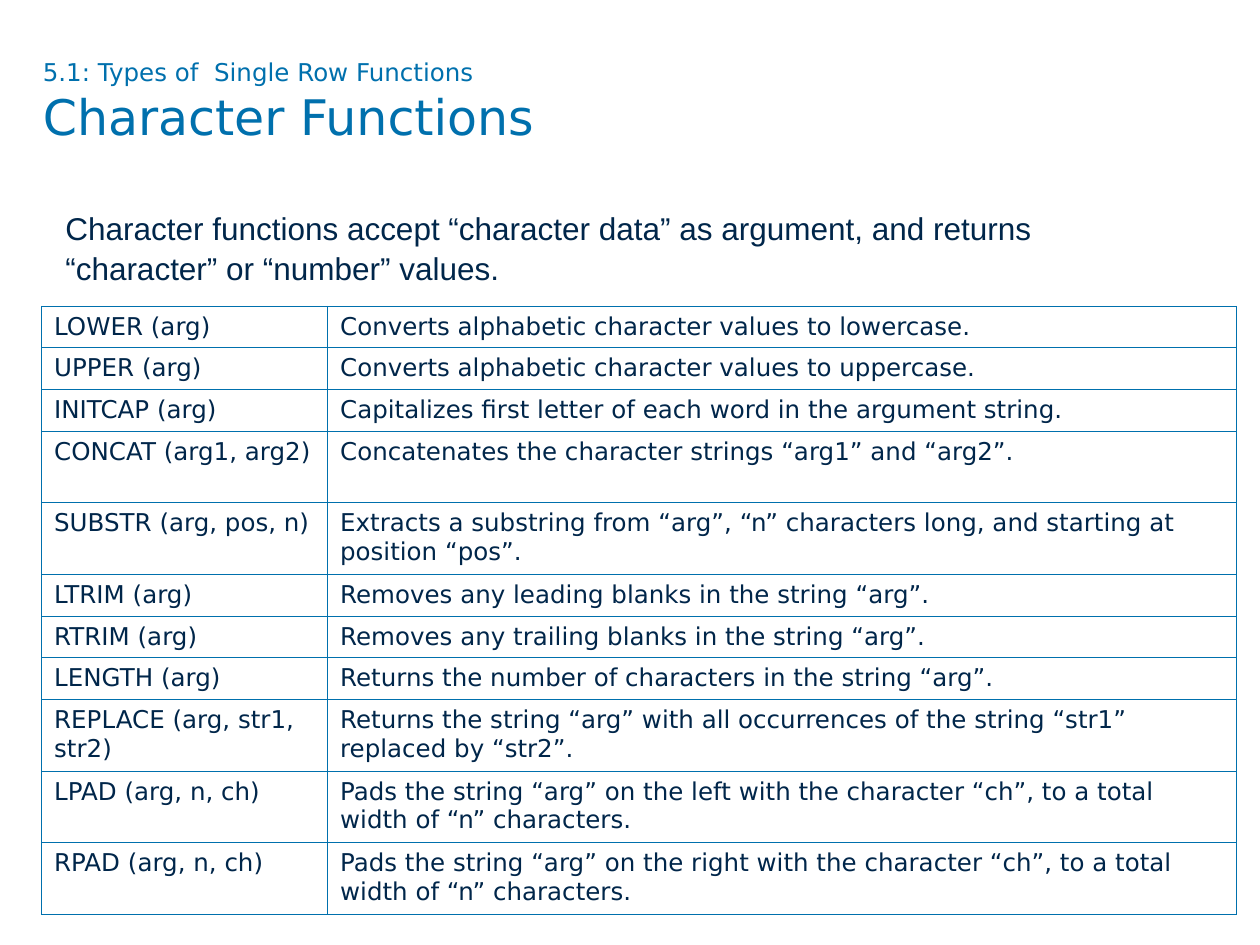
"""Build the slide on SQL character functions."""
from typing import NamedTuple

from lxml import etree
from pptx import Presentation
from pptx.dml.color import RGBColor
from pptx.enum.text import MSO_ANCHOR, MSO_AUTO_SIZE, PP_ALIGN
from pptx.oxml.ns import qn
from pptx.util import Inches, Pt

TOP, LEFT = MSO_ANCHOR.TOP, PP_ALIGN.LEFT
FIXED = MSO_AUTO_SIZE.NONE
WIDTH, HEIGHT = 10, 7.5
BLUE, NAVY = "0070AD", "00264A"
HEADING_FONT, BODY_FONT = "DejaVu Sans", "Arial"
COLUMN_WIDTHS = (2.27, 7.21)
ROW_HEIGHTS = {1: 0.33, 2: 0.57}
BORDER_POINTS = 0.45


class Area(NamedTuple):
    left: float
    top: float
    width: float
    height: float


class SqlFunction(NamedTuple):
    call: str
    purpose: str
    lines: int = 1


TITLE_AREA = Area(0.034, 0.06, 0.933, 0.125)
INTRO_AREA = Area(0.042, 0.213, 0.912, 0.133)
TABLE_AREA = Area(0.033, 0.324, 0.948, 0.645)

FUNCTIONS = [
    SqlFunction("LOWER (arg)", "Converts alphabetic character values to lowercase."),
    SqlFunction("UPPER (arg)", "Converts alphabetic character values to uppercase."),
    SqlFunction("INITCAP (arg)", "Capitalizes first letter of each word in the argument string."),
    SqlFunction("CONCAT (arg1, arg2)", "Concatenates the character strings “arg1” and “arg2”.", 2),
    SqlFunction("SUBSTR (arg, pos, n)",
                "Extracts a substring from “arg”, “n” characters long, "
                "and starting at position “pos”.", 2),
    SqlFunction("LTRIM (arg)", "Removes any leading blanks in the string “arg”."),
    SqlFunction("RTRIM (arg)", "Removes any trailing blanks in the string “arg”."),
    SqlFunction("LENGTH (arg)", "Returns the number of characters in the string “arg”."),
    SqlFunction("REPLACE (arg, str1, str2)",
                "Returns the string “arg” with all occurrences of the string “str1” "
                "replaced by “str2”.", 2),
    SqlFunction("LPAD (arg, n, ch)",
                "Pads the string “arg” on the left with the character “ch”, "
                "to a total width of “n” characters.", 2),
    SqlFunction("RPAD (arg, n, ch)",
                "Pads the string “arg” on the right with the character “ch”, "
                "to a total width of “n” characters.", 2),
]


def place(area: Area) -> tuple:
    return (Inches(area.left * WIDTH), Inches(area.top * HEIGHT),
            Inches(area.width * WIDTH), Inches(area.height * HEIGHT))


def color(value: str) -> RGBColor:
    return RGBColor.from_string(value)


def write(paragraph, text: str, *, size: float, font: str = HEADING_FONT,
          ink: str = NAVY, spacing: float = 1.0) -> None:
    paragraph.alignment = LEFT
    paragraph.line_spacing = spacing
    run = paragraph.add_run()
    run.text = text
    run.font.size = Pt(size)
    run.font.name = font
    run.font.color.rgb = color(ink)


def add_title(slide) -> None:
    title = slide.shapes.title
    title.left, title.top, title.width, title.height = place(TITLE_AREA)
    frame = title.text_frame
    frame.margin_left = frame.margin_right = frame.margin_top = frame.margin_bottom = 0
    frame.vertical_anchor = TOP
    frame.auto_size = FIXED
    frame.word_wrap = True
    heading = frame.paragraphs[0]
    write(heading, "5.1: Types of  Single Row Functions ", size=14, ink=BLUE)
    heading.add_line_break()
    write(heading, "Character Functions", size=28, ink=BLUE)


def add_intro(slide) -> None:
    frame = slide.shapes.add_textbox(*place(INTRO_AREA)).text_frame
    frame.word_wrap = True
    write(frame.paragraphs[0],
          "Character functions accept “character data” as argument, "
          "and returns “character” or “number” values.",
          size=18, font=BODY_FONT, spacing=1.05)


def add_borders(cell) -> None:
    properties = cell._tc.get_or_add_tcPr()
    for position, side in enumerate(("lnL", "lnR", "lnT", "lnB")):
        line = etree.Element(qn(f"a:{side}"), w=str(Pt(BORDER_POINTS)))
        fill = etree.SubElement(line, qn("a:solidFill"))
        etree.SubElement(fill, qn("a:srgbClr"), val=BLUE)
        properties.insert(position, line)


def add_function_table(slide, functions: list[SqlFunction]) -> None:
    table = slide.shapes.add_table(
        len(functions), len(COLUMN_WIDTHS), *place(TABLE_AREA)).table
    table.first_row = table.horz_banding = False
    for column, width in zip(table.columns, COLUMN_WIDTHS):
        column.width = Inches(width)
    for row, function in zip(table.rows, functions):
        row.height = Inches(ROW_HEIGHTS[function.lines])
        for cell, text in zip(row.cells, (function.call, function.purpose)):
            cell.fill.background()
            add_borders(cell)
            write(cell.text_frame.paragraphs[0], text, size=14)


def main() -> None:
    presentation = Presentation()
    presentation.slide_width, presentation.slide_height = Inches(WIDTH), Inches(HEIGHT)
    slide = presentation.slides.add_slide(presentation.slide_layouts.get_by_name("Title Only"))
    add_title(slide)
    add_function_table(slide, FUNCTIONS)
    add_intro(slide)
    presentation.save("out.pptx")


if __name__ == "__main__":
    main()
